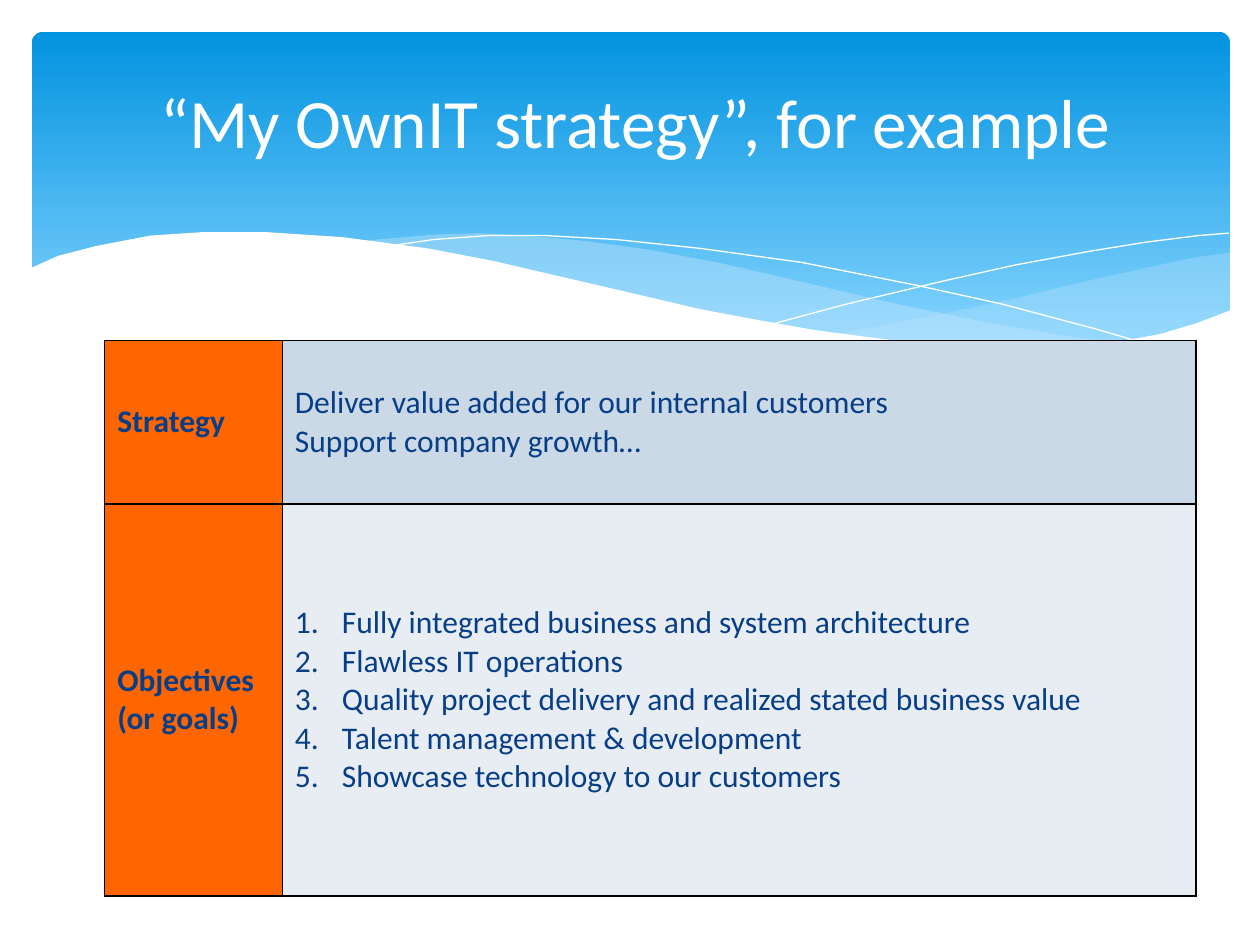
from lxml.etree import SubElement
from pptx import Presentation
from pptx.dml.color import RGBColor
from pptx.enum.shapes import MSO_SHAPE as Preset
from pptx.enum.text import MSO_ANCHOR as Anchor, PP_ALIGN as Align
from pptx.oxml import parse_xml
from pptx.oxml.ns import nsdecls, qn
from pptx.util import Cm, Pt

WHITE = RGBColor(0xFF, 0xFF, 0xFF)
SKY_TOP = RGBColor(0x02, 0x93, 0xE0)
SKY_BOTTOM = RGBColor(0x83, 0xD3, 0xFE)
MIST = RGBColor(0xC6, 0xE7, 0xFC)
NAVY = RGBColor(0x07, 0x3E, 0x87)
ORANGE = RGBColor(0xFF, 0x66, 0x00)
BLUE_GREY = RGBColor(0xCB, 0xD9, 0xE6)
PALE_GREY = RGBColor(0xE7, 0xED, 0xF3)

TITLE_FONT = {"name": "Calibri", "size": Pt(39.6), "bold": False}
LABEL_FONT = {"name": "Calibri", "size": Pt(18), "bold": True}
BODY_FONT = {"name": "Calibri", "size": Pt(18), "bold": False}

RIGHT_SWELL = [
    (24.16, 4.45), (23.44, 4.55), (22.38, 4.78), (21.23, 5.03), (19.81, 5.38), (18.49, 5.66),
    (17.3, 5.89), (16.15, 6.1), (17.27, 6.25), (18.29, 6.35), (19.48, 6.4), (20.57, 6.4),
    (21.51, 6.32), (22.35, 6.2), (23.11, 6.05), (24.16, 5.64)]
MIDDLE_SWELL = [
    (22.05, 6.3), (20.62, 6.1), (19.05, 5.82), (17.3, 5.46), (15.34, 5), (13.82, 4.65),
    (12.42, 4.39), (11.18, 4.22), (10.03, 4.11), (9.02, 4.06), (8.1, 4.09), (6.63, 4.22),
    (8.05, 4.42), (9.63, 4.72), (10.77, 5), (12.83, 5.46), (14.63, 5.84), (16.26, 6.12),
    (17.7, 6.32), (19, 6.4), (20.4, 6.43), (21.39, 6.38)]
FALLING_LINE = [
    (7.21, 4.32), (8.1, 4.19), (9.19, 4.11), (10.36, 4.11), (11.79, 4.19), (13.49, 4.37),
    (15.52, 4.65), (17.83, 5.11), (19.56, 5.49), (21.44, 5.99), (22.4, 6.27)]
RISING_LINE = [
    (14.94, 5.89), (16.43, 5.49), (18.36, 5.03), (19.84, 4.7), (21.36, 4.42), (22.48, 4.24),
    (23.52, 4.11), (24.13, 4.06)]
FRONT_WAVE = [
    (-0.05, 4.78), (0.53, 4.52), (1.3, 4.32), (2.39, 4.11), (3.45, 4.04), (4.72, 4.04),
    (6.25, 4.14), (8, 4.37), (9.3, 4.62), (10.72, 4.95), (12.14, 5.28), (13.46, 5.59),
    (14.68, 5.82), (15.82, 6.02), (17.35, 6.22), (18.69, 6.35), (19.91, 6.4), (20.96, 6.35),
    (21.89, 6.25), (22.73, 6.1), (23.5, 5.87), (24.18, 5.61), (24.18, 7.72), (-0.05, 7.72)]

STRATEGY = ["Deliver value added for our internal customers", "Support company growth…"]
OBJECTIVES = [
    "Fully integrated business and system architecture",
    "Flawless IT operations",
    "Quality project delivery and realized stated business value",
    "Talent management & development",
    "Showcase technology to our customers",
]


def format_font(font, color, values):
    """Apply a colour and a dict of values to a font."""
    font.color.rgb = color
    for name, value in values.items():
        setattr(font, name, value)


def add_outline(page, box, points, closed):
    """Trace points given in centimetres from the corner of the box."""
    left, top = box[:2]
    corners = [(Cm(x), Cm(y)) for x, y in points]
    builder = page.shapes.build_freeform(*corners[0])
    builder.add_line_segments(corners[1:], close=closed)
    outline = builder.convert_to_shape(left, top)
    outline.shadow.inherit = False
    return outline


def add_swell(page, box, points, color, opacity):
    """Add a filled wave with an opacity in percent."""
    swell = add_outline(page, box, points, True)
    swell.line.fill.background()
    swell.fill.solid()
    swell.fill.fore_color.rgb = color
    if opacity < 100:
        tint = swell.fill._xPr.find(qn("a:solidFill"))[0]
        SubElement(tint, qn("a:alpha"), val=str(opacity * 1000))


def add_hairline(page, box, points):
    """Add a thin white curve."""
    curve = add_outline(page, box, points, False)
    curve.fill.background()
    curve.line.color.rgb = WHITE
    curve.line.width = Pt(0)


def add_banner(page, box):
    """Draw the gradient banner and its waves."""
    panel = page.shapes.add_shape(Preset.ROUNDED_RECTANGLE, *box)
    panel.adjustments[0] = 0.034
    panel.shadow.inherit = False
    panel.line.fill.background()
    panel.fill.gradient()
    panel.fill.gradient_angle = 270
    colors = [(SKY_TOP, 0), (SKY_BOTTOM, 0.9)]
    for stop, (color, position) in zip(panel.fill.gradient_stops, colors):
        stop.color.rgb = color
        stop.position = position
    add_swell(page, box, RIGHT_SWELL, MIST, 29)
    add_swell(page, box, MIDDLE_SWELL, MIST, 40)
    add_hairline(page, box, FALLING_LINE)
    add_hairline(page, box, RISING_LINE)
    add_swell(page, box, FRONT_WAVE, WHITE, 100)


def place_title(page, box, text):
    """Move the title placeholder to the box, in front of the banner."""
    title = page.shapes.title
    title.left, title.top, title.width, title.height = box
    page.shapes.element.append(title.element)
    frame = title.text_frame
    frame.vertical_anchor = Anchor.MIDDLE
    para = frame.paragraphs[0]
    para.alignment = Align.CENTER
    span = para.add_run()
    span.text = text
    format_font(span.font, WHITE, TITLE_FONT)


def add_borders(cell):
    """Give a cell thin black borders."""
    properties = cell._tc.get_or_add_tcPr()
    for index, side in enumerate("LRTB"):
        properties.insert(index, parse_xml(
            f'<a:ln{side} {nsdecls("a")} w="{Pt(1)}"><a:solidFill>'
            f'<a:srgbClr val="000000"/></a:solidFill></a:ln{side}>'))


def fill_cell(cell, lines, color, values, numbered=False):
    """Write lines into a cell, numbered if asked."""
    cell.fill.solid()
    cell.fill.fore_color.rgb = color
    cell.vertical_anchor = Anchor.MIDDLE
    add_borders(cell)
    frame = cell.text_frame
    for index, line in enumerate(lines):
        para = frame.add_paragraph() if index else frame.paragraphs[0]
        if numbered:
            properties = para._p.get_or_add_pPr()
            properties.set("marL", str(Cm(0.95)))
            properties.set("indent", str(-Cm(0.95)))
            SubElement(properties, qn("a:buFont"), typeface="+mj-lt")
            SubElement(properties, qn("a:buAutoNum"), type="arabicPeriod")
        span = para.add_run()
        span.text = line
        format_font(span.font, NAVY, values)


def add_strategy_table(page, box):
    """Add the table of strategy and objectives."""
    table = page.shapes.add_table(2, 2, *box).table
    table.first_row = table.horz_banding = False
    width, height = box[2:]
    label_width, strategy_height = Cm(3.58), Cm(3.3)
    table.columns[0].width, table.columns[1].width = label_width, width - label_width
    table.rows[0].height, table.rows[1].height = strategy_height, height - strategy_height
    rows = [("Strategy", STRATEGY, BLUE_GREY, False),
            ("Objectives (or goals)", OBJECTIVES, PALE_GREY, True)]
    for index, (label, lines, color, numbered) in enumerate(rows):
        fill_cell(table.cell(index, 0), [label], ORANGE, LABEL_FONT)
        fill_cell(table.cell(index, 1), lines, color, BODY_FONT, numbered)


def main():
    """Build and save the deck."""
    deck = Presentation()
    deck.slide_width, deck.slide_height = Cm(25.4), Cm(19.05)
    page = deck.slides.add_slide(deck.slide_layouts[5])
    page.background.fill.solid()
    page.background.fill.fore_color.rgb = WHITE
    add_banner(page, (Cm(0.64), Cm(0.64), Cm(24.16), Cm(6.86)))
    place_title(page, (Cm(1.5), Cm(1.27), Cm(22.63), Cm(2.34)),
                "“My OwnIT strategy”, for example")
    add_strategy_table(page, (Cm(2.11), Cm(6.86), Cm(22), Cm(11.2)))
    deck.save("out.pptx")


if __name__ == "__main__":
    main()
